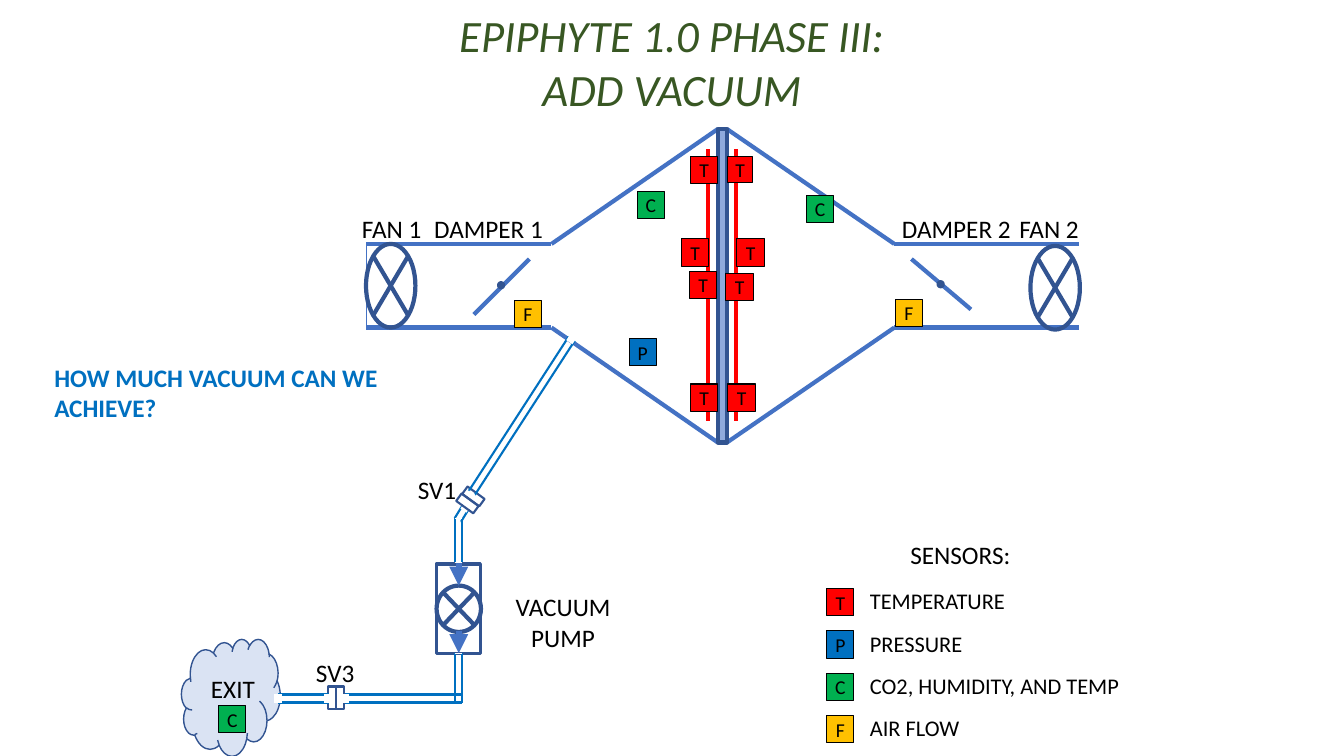
from collections import namedtuple
from dataclasses import dataclass

from lxml import etree
from pptx import Presentation
from pptx.dml.color import RGBColor
from pptx.enum.shapes import MSO_CONNECTOR, MSO_SHAPE
from pptx.enum.text import MSO_ANCHOR, MSO_AUTO_SIZE, PP_ALIGN
from pptx.oxml.ns import qn
from pptx.util import Emu, Pt

PX = 9144
STRAIGHT = MSO_CONNECTOR.STRAIGHT
RECT, OVAL, CLOUD = MSO_SHAPE.RECTANGLE, MSO_SHAPE.OVAL, MSO_SHAPE.CLOUD
FAN = MSO_SHAPE.FLOWCHART_SUMMING_JUNCTION
LEFT, CENTER = PP_ALIGN.LEFT, PP_ALIGN.CENTER
MIDDLE = MSO_ANCHOR.MIDDLE
GROW = MSO_AUTO_SIZE.SHAPE_TO_FIT_TEXT

Box = namedtuple("Box", "left top width height")


@dataclass(frozen=True)
class Theme:
    """Colours, type sizes and line widths of the slide."""
    font: str = "Calibri"
    title: str = "385723"
    text: str = "000000"
    wall: str = "4472C4"
    outline: str = "325491"
    membrane: str = "8FAADC"
    cloud: str = "DAE3F3"
    pipe: str = "0070C0"
    probe: str = "FF0000"
    gap: str = "FFFFFF"
    title_size: int = 32
    label_size: int = 18
    legend_size: int = 16
    sensor_size: int = 14
    heavy: float = 3
    thin: float = 0.5
    pipe_width: float = 1.5
    opening: float = 6


THEME = Theme()
SENSOR_COLORS = {"T": "FF0000", "P": "0070C0", "C": "00B050", "F": "FFC000"}


def style_text(frame, wording, size, color, align, bold=False, italic=False):
    """Write the wording and format every run."""
    frame.text = wording
    for paragraph in frame.paragraphs:
        paragraph.alignment = align
        for run in paragraph.runs:
            run.font.name = THEME.font
            run.font.size = Pt(size)
            run.font.bold = bold
            run.font.italic = italic
            run.font.color.rgb = RGBColor.from_string(color)


def add_label(slide, box, place, wording, size=THEME.label_size, color=THEME.text,
              align=CENTER, wrap=True, bold=False, italic=False):
    """Add a text label at a place relative to the box."""
    x, y, width, height = place
    label = slide.shapes.add_textbox(Emu((box.left + x) * PX), Emu((box.top + y) * PX),
                                     Emu(width * PX), Emu(height * PX))
    frame = label.text_frame
    frame.word_wrap = wrap
    frame.auto_size = GROW
    style_text(frame, wording, size, color, align, bold, italic)


def add_part(slide, box, kind, place, width_pt, fill=None, line=THEME.outline, rotation=0):
    """Add an outlined shape at a place relative to the box."""
    x, y, width, height = place
    part = slide.shapes.add_shape(kind, Emu((box.left + x) * PX), Emu((box.top + y) * PX),
                                  Emu(width * PX), Emu(height * PX))
    part.shadow.inherit = False
    part.rotation = rotation
    part.line.color.rgb = RGBColor.from_string(line)
    part.line.width = Pt(width_pt)
    if fill:
        part.fill.solid()
        part.fill.fore_color.rgb = RGBColor.from_string(fill)
    else:
        part.fill.background()
    return part


def add_line(slide, box, start, end, color=THEME.wall, width_pt=THEME.heavy, arrow=False):
    """Add a straight line between two points relative to the box."""
    points = [Emu((origin + value) * PX) for point in (start, end)
              for origin, value in zip((box.left, box.top), point)]
    line = slide.shapes.add_connector(STRAIGHT, *points)
    line.line.color.rgb = RGBColor.from_string(color)
    line.line.width = Pt(width_pt)
    properties = line._element.spPr
    if arrow:
        etree.SubElement(properties.find(qn("a:ln")), qn("a:tailEnd"), type="triangle")
    etree.SubElement(properties, qn("a:effectLst"))


def add_sensor(slide, box, letter, x, y, width=27, height=27):
    """Add a lettered sensor square in the colour of its kind."""
    sensor = add_part(slide, box, RECT, (x, y, width, height), 0.75,
                      SENSOR_COLORS[letter], THEME.text)
    frame = sensor.text_frame
    frame.margin_left = frame.margin_right = frame.margin_top = frame.margin_bottom = 0
    frame.vertical_anchor = MIDDLE
    style_text(frame, letter, THEME.sensor_size, THEME.text, CENTER)


def add_pipe(slide, box, start, end, bore, start_cap, end_cap):
    """Add two parallel pipe walls and the white caps that open their ends."""
    far_start, far_end = [(x + bore[0], y + bore[1]) for x, y in (start, end)]
    add_line(slide, box, start, end, THEME.pipe, THEME.pipe_width)
    add_line(slide, box, far_start, far_end, THEME.pipe, THEME.pipe_width)
    for near, far, cap in ((end, far_end, end_cap), (start, far_start, start_cap)):
        if cap:
            add_line(slide, box, near, far, THEME.gap, cap)


def draw_chamber(slide, box):
    """Draw the duct, membrane, fans, dampers and sensors of the chamber."""
    for tip_x, throat_x, end_x in ((349, 184, 0), (358, 524, 707)):
        for tip_y, throat_y in ((0, 114), (box.height, 197)):
            add_line(slide, box, (tip_x, tip_y), (throat_x, throat_y))
            add_line(slide, box, (throat_x, throat_y), (end_x, throat_y))
    add_line(slide, box, (0, 114), (0, 198), width_pt=THEME.thin)
    add_part(slide, box, RECT, (349, 0, 9, box.height), THEME.heavy, THEME.membrane)
    for x, y in ((0, 114), (659, 116)):
        add_part(slide, box, FAN, (x, y, 49, 83), THEME.heavy)
    for start, end, pivot in (((162, 129), (107, 184), (132, 153)),
                              ((541, 129), (600, 179), (568, 152))):
        add_line(slide, box, start, end)
        add_part(slide, box, OVAL, (*pivot, 4, 4), THEME.heavy, THEME.wall)
    for wording, x, width in (("FAN 1", -16, 83), ("DAMPER 1", 57, 129),
                              ("DAMPER 2", 521, 129), ("FAN 2", 636, 83)):
        add_label(slide, box, (x, 79, width, 36), wording)
    for x in (339, 367):
        add_line(slide, box, (x, 20), (x, 290), THEME.probe)
    add_sensor(slide, box, "T", 359, 27, 24, 26)
    for letter, spots in {
        "T": ((357, 143), (321, 141), (322, 253), (322, 27), (359, 253), (368, 109), (313, 109)),
        "C": ((269, 62), (437, 66)),
        "F": ((525, 169), (147, 170)),
        "P": ((261, 208),),
    }.items():
        for x, y in spots:
            add_sensor(slide, box, letter, x, y)


def draw_vacuum_line(slide, box):
    """Draw the pipes, valves, pump and exit below the chamber."""
    thin, opening = THEME.thin, THEME.opening
    add_pipe(slide, box, (279, 167), (271, 180), (6, 4), opening, thin)
    add_part(slide, box, FAN, (252, 248, 46, 44), THEME.heavy, rotation=90)
    add_part(slide, box, RECT, (230, 248, 89, 44), 2.25, rotation=90)
    for y in (225, 292):
        add_line(slide, box, (275, y), (275, y + 22), width_pt=4.5, arrow=True)
    for place, rotation in (((285, 148, 9, 21), 126), ((279, 155, 9, 21), 126),
                            ((153, 347, 8, 22), 180), ((145, 347, 8, 22), 180)):
        add_part(slide, box, RECT, place, THEME.pipe_width, rotation=rotation)
    add_part(slide, box, CLOUD, (0, 300, 98, 116), 1, THEME.cloud)
    for start, end, bore, start_cap, end_cap in (
        ((384, 0), (285, 153), (6, 4), opening, thin),
        ((271, 180), (271, 224), (7, 0), thin, thin),
        ((271, 314), (271, 363), (7, 0), thin, None),
        ((146, 355), (96, 355), (0, 8), opening, opening),
        ((278, 355), (162, 355), (0, 8), None, opening),
    ):
        add_pipe(slide, box, start, end, bore, start_cap, end_cap)
    for wording, place in (("SV1", (212, 132, 83, 36)), ("SV3", (111, 313, 83, 36)),
                           ("VACUUM PUMP", (305, 248, 147, 71)), ("EXIT", (-18, 329, 138, 40))):
        add_label(slide, box, place, wording)
    add_sensor(slide, box, "C", 37, 366)


def draw_legend(slide, box):
    """Draw the sensor legend."""
    add_label(slide, box, (59, 0, 147, 40), "SENSORS:")
    meanings = {"T": "TEMPERATURE", "P": "PRESSURE", "C": "CO2, HUMIDITY, AND TEMP", "F": "AIR FLOW"}
    for row, (letter, meaning) in enumerate(meanings.items()):
        y = 54 + 42 * row
        add_sensor(slide, box, letter, 0, y)
        add_label(slide, box, (33, y - 6, box.width - 33, 37), meaning, THEME.legend_size, align=LEFT)


def draw_title(slide, box):
    """Draw the two-line title."""
    add_label(slide, box, (0, 0, box.width, box.height), "EPIPHYTE 1.0 PHASE III:\nADD VACUUM",
              THEME.title_size, THEME.title, wrap=False, italic=True)


def draw_question(slide, box):
    """Draw the open question beside the chamber."""
    add_label(slide, box, (0, 0, box.width, box.height), "HOW MUCH VACUUM CAN WE ACHIEVE?",
              color=THEME.pipe, align=LEFT, bold=True)


def main():
    """Build the slide and save it."""
    deck = Presentation()
    deck.slide_width, deck.slide_height = Emu(1333 * PX), Emu(750 * PX)
    slide = deck.slides.add_slide(deck.slide_layouts[6])
    draw_title(slide, Box(443, 3, 447, 118))
    draw_chamber(slide, Box(363, 128, 708, 311))
    draw_vacuum_line(slide, Box(180, 334, 452, 416))
    draw_legend(slide, Box(820, 530, 325, 210))
    draw_question(slide, Box(44, 354, 403, 71))
    deck.save("out.pptx")


if __name__ == "__main__":
    main()
